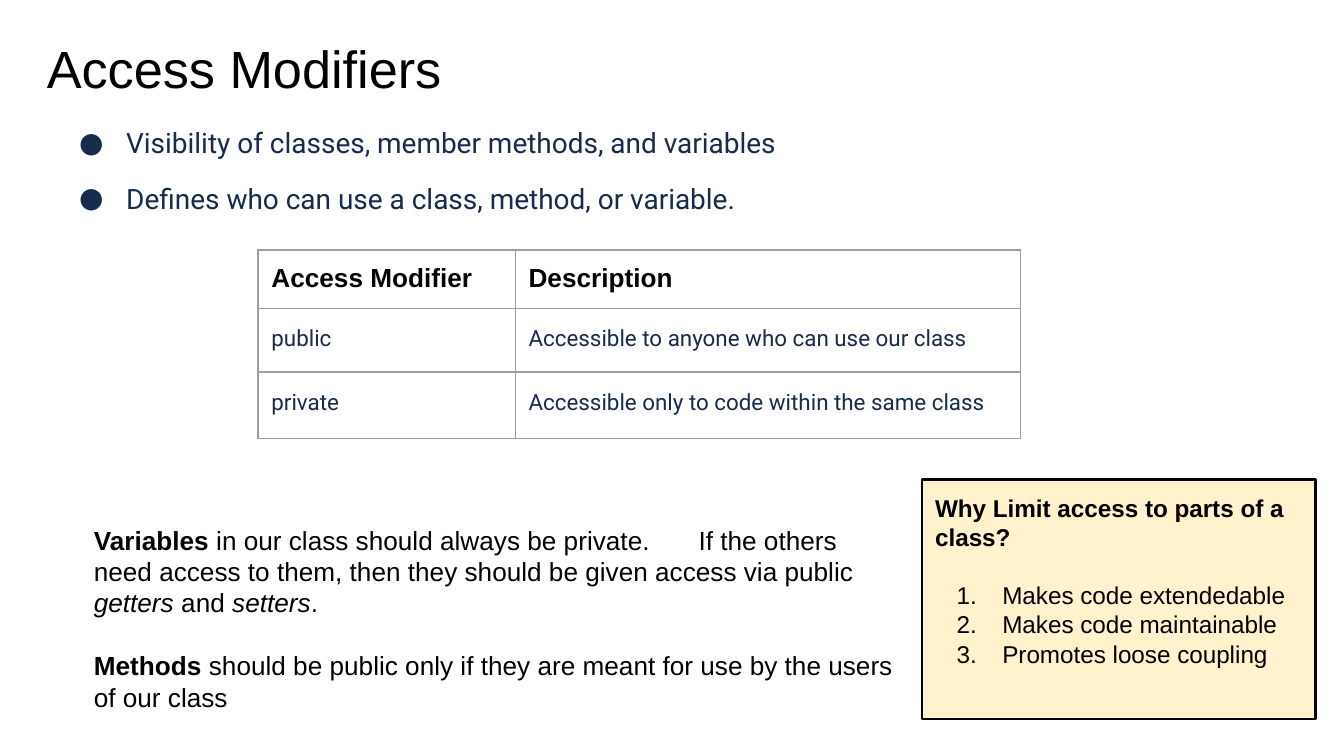
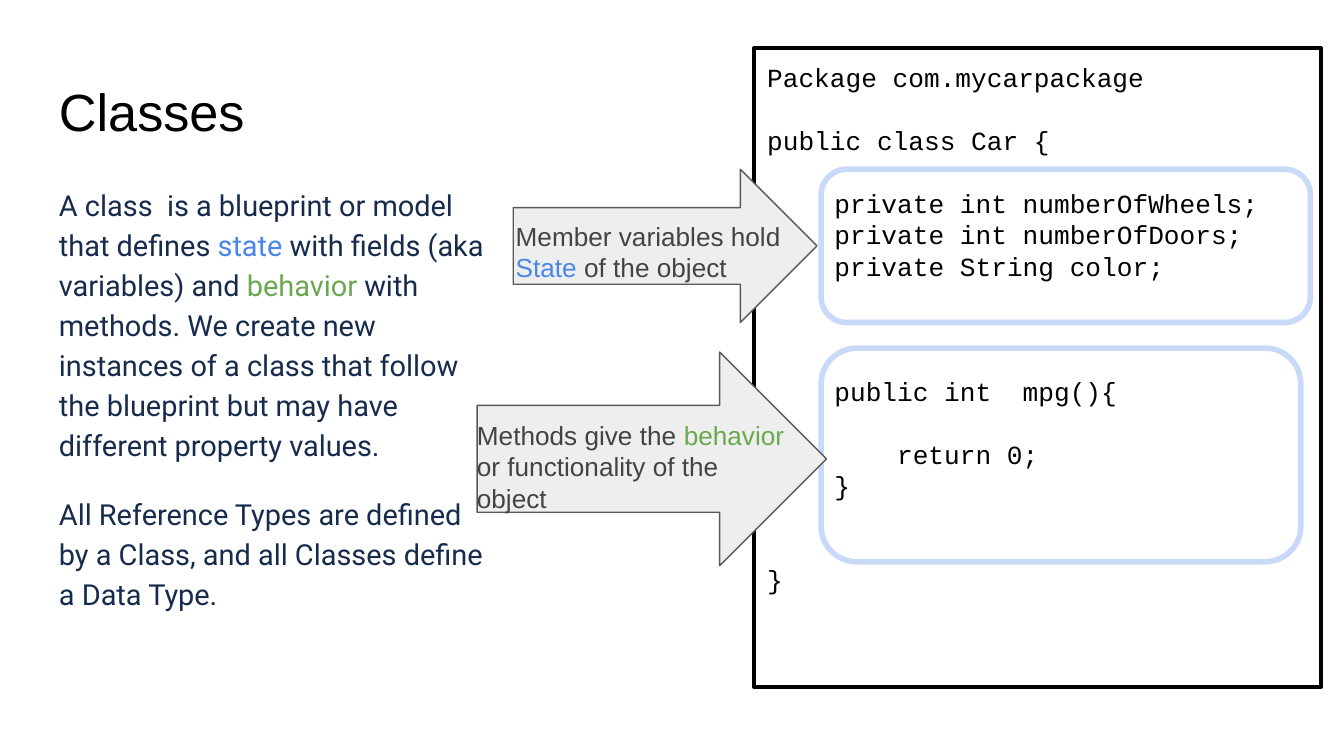
import pptx
import pptx.util
import pptx.dml.color
import pptx.enum.shapes
import pptx.enum.text
import pptx.oxml
import pptx.oxml.ns
import lxml.etree

Pt = pptx.util.Pt
SHAPE = pptx.enum.shapes.MSO_SHAPE
BLACK, NAVY, GRAY = "000000", "172B4D", "434343"
BLUE, GREEN = "4A86E8", "6AA84F"
SANS, BODY, MONO = "Arial", "Roboto", "Courier New"
INSET = 7.2
LINE_RATIO = 1.2


def color(value):
    return pptx.dml.color.RGBColor.from_string(value)


def add_xml(parent, tag, **attributes):
    child = lxml.etree.SubElement(parent, pptx.oxml.ns.qn(tag))
    for name, value in attributes.items():
        child.set(name, str(value))
    return child


def write(frame, *spans, size=14, font=SANS, ink=BLACK, bold=False, italic=False,
          spacing=None, before=0, after=0, left=0, hanging=0,
          bullet=None, numbered=False, tab=None):
    para = frame.paragraphs[0]
    if para.runs:
        para = frame.add_paragraph()
    para.alignment = pptx.enum.text.PP_ALIGN.LEFT
    para.space_before, para.space_after = Pt(before), Pt(after)
    if spacing:
        para.line_spacing = spacing
    properties = para._p.get_or_add_pPr()
    properties.set("marL", str(Pt(left)))
    properties.set("indent", str(Pt(-hanging)))
    if bullet or numbered:
        add_xml(add_xml(properties, "a:buClr"), "a:srgbClr", val=ink)
    if bullet:
        add_xml(properties, "a:buFont", typeface=font)
        add_xml(properties, "a:buChar", char=bullet)
    elif numbered:
        add_xml(properties, "a:buAutoNum", type="arabicPeriod")
    else:
        add_xml(properties, "a:buNone")
    if tab:
        add_xml(add_xml(properties, "a:tabLst"), "a:tab", pos=Pt(tab), algn="l")
    for item in spans:
        text, changes = (item, {}) if isinstance(item, str) else item
        span = para.add_run()
        span.text = text
        span.font.name = font
        span.font.size = Pt(size)
        span.font.bold = changes.get("bold", bold)
        span.font.italic = changes.get("italic", italic)
        span.font.color.rgb = color(changes.get("ink", ink))


def prepare(frame):
    frame.word_wrap = True
    frame.vertical_anchor = pptx.enum.text.MSO_ANCHOR.TOP
    frame.margin_left = frame.margin_right = Pt(INSET)
    frame.margin_top = frame.margin_bottom = Pt(INSET)
    return frame


def add_text(page, box):
    return prepare(page.shapes.add_textbox(*map(Pt, box)).text_frame)


def add_outline(page, kind, box, line, width, fill=None):
    shape = page.shapes.add_shape(kind, *map(Pt, box))
    shape.shadow.inherit = False
    if fill:
        shape.fill.solid()
        shape.fill.fore_color.rgb = color(fill)
    else:
        shape.fill.background()
    shape.line.color.rgb = color(line)
    shape.line.width = Pt(width)
    return prepare(shape.text_frame)


def add_page(deck):
    page = deck.slides.add_slide(deck.slide_layouts[6])
    page.background.fill.solid()
    page.background.fill.fore_color.rgb = color("FFFFFF")
    return page


def add_title(page, box, text):
    write(add_text(page, box), text, size=28)


def border_cell(cell):
    properties = cell._tc.get_or_add_tcPr()
    for side in ("a:lnL", "a:lnR", "a:lnT", "a:lnB"):
        line = add_xml(properties, side, w=Pt(0.75))
        add_xml(add_xml(line, "a:solidFill"), "a:srgbClr", val="9E9E9E")


def add_modifier_table(page, box):
    rows = [("Access Modifier", "Description"),
            ("public", "Accessible to anyone who can use our class"),
            ("private", "Accessible only to code within the same class")]
    heights, widths = (29.9, 34.2, 35.5), (137.8, 270.7)
    grid = page.shapes.add_table(len(rows), len(widths), *map(Pt, box)).table
    grid.first_row = grid.horz_banding = False
    for column, width in zip(grid.columns, widths):
        column.width = Pt(width)
    for index, (texts, height) in enumerate(zip(rows, heights)):
        grid.rows[index].height = Pt(height)
        for cell, text in zip(grid.rows[index].cells, texts):
            cell.margin_left = cell.margin_right = Pt(INSET)
            cell.margin_top = cell.margin_bottom = Pt(INSET)
            border_cell(cell)
            cell.fill.background()
            if index == 0:
                write(cell.text_frame, text, bold=True)
            else:
                write(cell.text_frame, text, size=12, font=BODY, ink=NAVY,
                      spacing=1.15, before=8)


def add_advice(page, box):
    frame = add_text(page, box)
    strong, slanted = {"bold": True}, {"italic": True}
    write(frame, ("Variables ", strong),
          "in our class should always be private.\tIf the others need access to them, "
          "then they should be given access via public ",
          ("getters", slanted), " and ", ("setters", slanted), ".", tab=313)
    write(frame, ("Methods ", strong),
          "should be public only if they are meant for use by the users of our class",
          before=14 * LINE_RATIO)


def add_reasons(page, box):
    size = 13
    frame = add_outline(page, SHAPE.RECTANGLE, box, BLACK, 1.5, "FFF2CC")
    write(frame, "Why Limit access to parts of a class?", size=size, bold=True)
    reasons = ("Makes code extendedable", "Makes code maintainable",
               "Promotes loose coupling")
    for index, reason in enumerate(reasons):
        write(frame, reason, size=size, left=36, hanging=24.5, numbered=True,
              before=0 if index else size * LINE_RATIO)


def build_modifiers(deck):
    page = add_page(deck)
    add_title(page, (18, 12.2, 671, 45.4), "Access Modifiers")
    frame = add_text(page, (24.5, 57.6, 671, 101.5))
    for text in ("Visibility of classes, member methods, and variables",
                 "Defines who can use a class, method, or variable."):
        write(frame, text, size=15, font=BODY, ink=NAVY, spacing=1.15, before=9,
              left=36, hanging=25.2, bullet="●")
    add_modifier_table(page, (138.2, 133.9, 408.5, 99.6))
    add_advice(page, (43.2, 273.6, 446.4, 108))
    add_reasons(page, (493.9, 257, 211, 128.2))


def add_code(page, box):
    size = 14
    frame = add_outline(page, SHAPE.RECTANGLE, box, BLACK, 2.25)
    member, nested = 36, 36 + 4 * 0.6 * size
    lines = [("Package com.mycarpackage", 0, 0),
             ("public class Car {", 0, 1),
             ("private int numberOfWheels;", member, 1),
             ("private int numberOfDoors;", member, 0),
             ("private String color;", member, 0),
             ("public int  mpg(){", member, 3),
             ("return 0;", nested, 1),
             ("}", member, 0),
             ("}", 0, 2)]
    for text, left, skipped in lines:
        write(frame, text, size=size, font=MONO, left=left,
              before=skipped * size * LINE_RATIO)


def add_definition(page, box):
    frame = add_text(page, box)
    style = dict(size=15.5, font=BODY, ink=NAVY, spacing=1.15)
    write(frame, "A class  is a blueprint or model that defines ",
          ("state ", {"ink": BLUE}), "with fields (aka variables) and ",
          ("behavior", {"ink": GREEN}),
          " with methods. We create new instances of a class that follow the "
          "blueprint but may have different property values.", **style)
    write(frame, "All Reference Types are defined by a Class, and all Classes "
          "define a Data Type.", before=16, after=16, **style)


def add_member_frame(page, box):
    add_outline(page, SHAPE.ROUNDED_RECTANGLE, box, "C9DAF8", 3)


def add_callout(page, box, shift, width, *spans):
    left, top, _, height = box
    add_outline(page, SHAPE.RIGHT_ARROW, box, "595959", 0.75, "EEEEEE")
    dx, dy = shift
    write(add_text(page, (left + dx, top + dy, width, 54)), *spans, ink=GRAY)


def build_classes(deck):
    page = add_page(deck)
    add_code(page, (403.9, 25.9, 303.8, 342))
    add_member_frame(page, (439.9, 186.5, 257, 114.5))
    add_title(page, (24.5, 35.3, 335.5, 45.4), "Classes")
    add_definition(page, (24.5, 90.7, 246.2, 269.3))
    add_member_frame(page, (439.9, 90.7, 262.1, 82.1))
    add_callout(page, (275, 90.7, 162.7, 82.1), (-5.8, 20.2), 162.7,
                "Member variables hold ", ("State ", {"ink": BLUE}), "of the object")
    add_callout(page, (255.6, 188.6, 187.2, 114.5), (-7.2, 28.8), 180.7,
                "Methods give the ", ("behavior ", {"ink": GREEN}),
                "or functionality of the object")


def main():
    deck = pptx.Presentation()
    deck.slide_width, deck.slide_height = Pt(720), Pt(405)
    build_modifiers(deck)
    build_classes(deck)
    deck.save("out.pptx")


if __name__ == "__main__":
    main()
